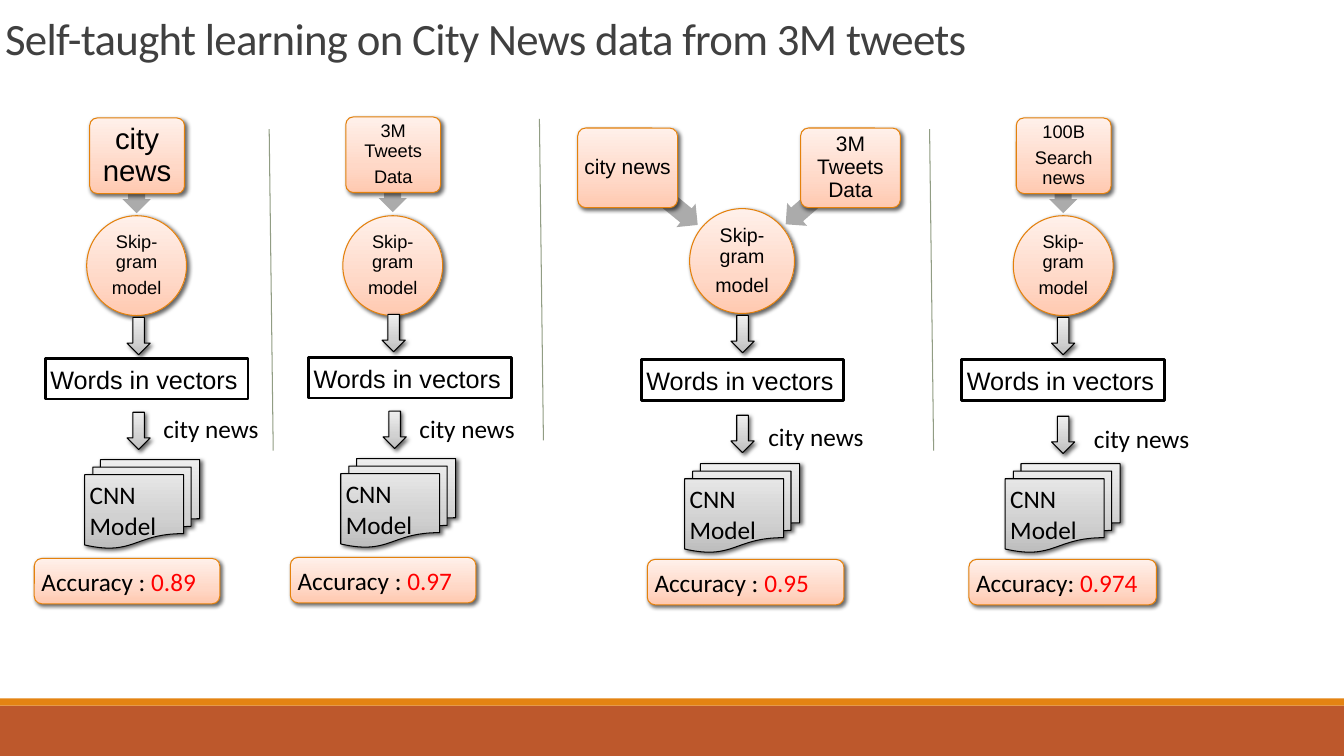
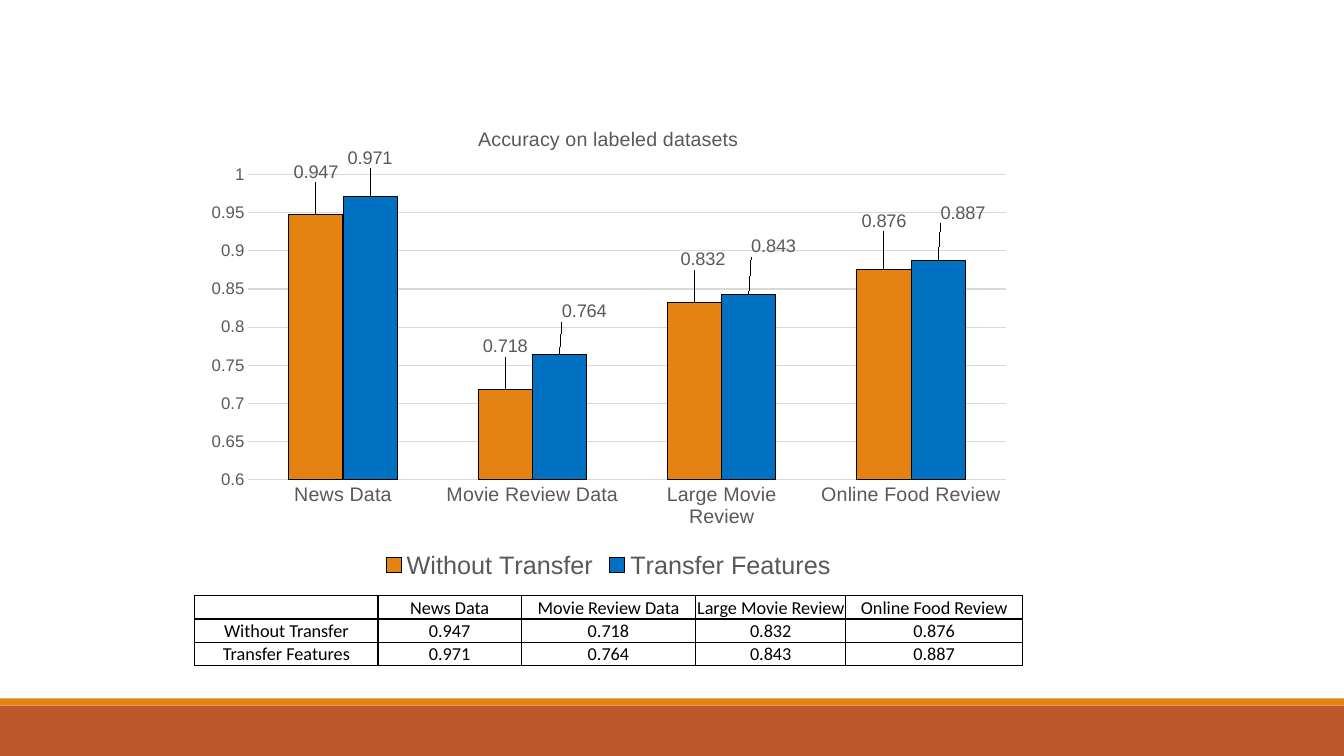
from copy import deepcopy

from lxml import etree
from pptx import Presentation
from pptx.chart.data import CategoryChartData
from pptx.dml.color import RGBColor
from pptx.enum.chart import XL_CHART_TYPE, XL_LABEL_POSITION, XL_LEGEND_POSITION, XL_TICK_MARK
from pptx.enum.shapes import MSO_CONNECTOR, MSO_SHAPE
from pptx.enum.text import MSO_ANCHOR, PP_ALIGN
from pptx.oxml.ns import qn
from pptx.util import Inches, Pt

RECTANGLE, ROUNDED = MSO_SHAPE.RECTANGLE, MSO_SHAPE.ROUNDED_RECTANGLE
ELLIPSE, LEFT_ARROW = MSO_SHAPE.OVAL, MSO_SHAPE.LEFT_ARROW
DOWN_ARROW, DOCUMENTS = MSO_SHAPE.DOWN_ARROW, MSO_SHAPE.FLOWCHART_MULTIDOCUMENT
STRAIGHT = MSO_CONNECTOR.STRAIGHT
LEFT, CENTER = PP_ALIGN.LEFT, PP_ALIGN.CENTER
MIDDLE, BOTTOM = MSO_ANCHOR.MIDDLE, MSO_ANCHOR.BOTTOM
COLUMNS, OUTSIDE = XL_CHART_TYPE.COLUMN_CLUSTERED, XL_LABEL_POSITION.OUTSIDE_END
LEGEND_BOTTOM, NO_TICK = XL_LEGEND_POSITION.BOTTOM, XL_TICK_MARK.NONE

# Shared style
WIDTH, HEIGHT = 13.33, 7.5
COLORS = {
    "black": "000000", "white": "FFFFFF", "title": "404040", "red": "FF0000",
    "band": "BD582C", "stripe": "E48312", "edge": "E4810C", "arrow": "ABABAB",
    "divider": "919D84", "label": "595959", "grid": "D9D9D9", "blue": "0070C0",
}
GRADIENTS = {
    "peach": ((0, "FFC9B0"), (0.35, "FFD8C7"), (1, "FFF0EA")),
    "gray": ((0, "BDBDBD"), (0.35, "D1D1D1"), (1, "EEEEEE")),
}
BANDS = [(7, 0.5, "band"), (6.93, 0.07, "stripe")]

# Slide 1: four pipelines, each with its sources, circle and lower stages
TITLE = "Self-taught learning on City News data from 3M tweets"
# Source: left, top, size, lines. Arrow: left, top, width, height, rotation.
PIPELINES = [
    {"circle": (0.86, 2.14, 0.99), "size": 13,
     "sources": [((0.89, 1.17, 0.94, 0.75), 21, ["city news"], (1.07, 1.69, 0.57, 0.28, 270))]},
    {"circle": (3.4, 2.14, 0.99), "size": 13,
     "sources": [((3.43, 1.16, 0.94, 0.75), 13, ["3M Tweets", "Data"], (3.61, 1.68, 0.57, 0.28, 270))]},
    {"circle": (6.84, 2.07, 1.04), "size": 14,
     "sources": [((5.73, 1.27, 0.99, 0.79), 15, ["city news"], (6.13, 1.8, 0.89, 0.3, 219.2)),
                 ((7.94, 1.27, 0.99, 0.79), 15, ["3M Tweets Data"], (7.69, 1.8, 0.84, 0.3, 319))]},
    {"circle": (10.05, 2.14, 0.99), "size": 13,
     "sources": [((10.08, 1.17, 0.94, 0.75), 13, ["100B", "Search news"], (10.26, 1.69, 0.57, 0.28, 270))]},
]
# Left and top of each stage, one pair per pipeline
STAGES = {
    "first arrow": [(1.26, 3.15), (3.79, 3.12), (7.25, 3.13), (10.43, 3.15)],
    "vectors": [(0.45, 3.56), (3.06, 3.55), (6.36, 3.57), (9.54, 3.57)],
    "second arrow": [(1.26, 4.09), (3.8, 4.08), (7.25, 4.12), (10.43, 4.13)],
    "label": [(1.57, 4.05), (4.11, 4.05), (7.57, 4.13), (10.8, 4.15)],
    "model": [(0.84, 4.56), (3.38, 4.55), (6.79, 4.6), (9.97, 4.6)],
    "accuracy": [(0.34, 5.54), (2.88, 5.53), (6.42, 5.55), (9.61, 5.55)],
}
ACCURACIES = [("Accuracy : ", "0.89", 1.84), ("Accuracy : ", "0.97", 1.84),
              ("Accuracy : ", "0.95", 1.95), ("Accuracy: ", "0.974", 1.86)]
DIVIDERS = [(2.67, 1.28), (5.35, 1.18), (9.22, 1.28)]

# Slide 2: chart and table share the same numbers
CHART_TITLE = "Accuracy on labeled datasets"
CATEGORIES = ["News Data", "Movie Review Data", "Large Movie Review", "Online Food Review"]
# Name, colour, values, label offsets as shares of the chart
SERIES = [
    ("Without Transfer", "stripe", (0.947, 0.718, 0.832, 0.876),
     ((0, -0.06), (0, -0.06), (0.01, -0.06), (0, -0.07))),
    ("Transfer Features", "blue", (0.971, 0.764, 0.843, 0.887),
     ((0, -0.05), (0.03, -0.06), (0.03, -0.07), (0.03, -0.07))),
]
PLOT_AREA = {"x": 0.065, "y": 0.14, "w": 0.915, "h": 0.64}
TABLE_LEFT, TABLE_TOP, ROW_HEIGHT = 1.93, 5.91, 0.23
TABLE_COLUMNS = [1.82, 1.42, 1.73, 1.49, 1.75]


def rgb(name):
    return RGBColor.from_string(COLORS[name])


def set_font(font, size, color="black", name="Arial"):
    for attribute, value in {"size": Pt(size), "name": name, "bold": False}.items():
        setattr(font, attribute, value)
    font.color.rgb = rgb(color)


def write(frame, lines, size, name="Arial", align=LEFT, anchor=MIDDLE,
          margin=0.05, spacing=None, after=0):
    """Each line is a list of (text, colour) runs."""
    settings = {"word_wrap": True, "vertical_anchor": anchor}
    settings.update({f"margin_{side}": Inches(margin)
                     for side in ("left", "top", "right", "bottom")})
    for attribute, value in settings.items():
        setattr(frame, attribute, value)
    for index, line in enumerate(lines):
        paragraph = frame.add_paragraph() if index else frame.paragraphs[0]
        paragraph.alignment = align
        paragraph.space_after = Pt(after)
        if spacing:
            paragraph.line_spacing = spacing
        for text, color in line:
            run = paragraph.add_run()
            run.text = text
            set_font(run.font, size, color, name)


def add_textbox(slide, box, lines, size, **options):
    shape = slide.shapes.add_textbox(*map(Inches, box))
    write(shape.text_frame, lines, size, **options)
    return shape


def add_shape(slide, kind, box, fill, line=None, line_width=0.75):
    shape = slide.shapes.add_shape(kind, *map(Inches, box))
    shape.shadow.inherit = False
    if line:
        shape.line.color.rgb = rgb(line)
        shape.line.width = Pt(line_width)
    else:
        shape.line.fill.background()
    if fill in GRADIENTS:
        shape.fill.gradient()
        shape.fill.gradient_angle = 90
        stop_list = shape._element.spPr.find(".//" + qn("a:gsLst"))
        stop_list.insert(1, deepcopy(stop_list[0]))
        for stop, (position, color) in zip(shape.fill.gradient_stops, GRADIENTS[fill]):
            stop.position = position
            stop.color.rgb = RGBColor.from_string(color)
        add_shadow(shape)
    else:
        shape.fill.solid()
        shape.fill.fore_color.rgb = rgb(fill)
    return shape


def add_shadow(shape):
    effects = shape._element.spPr.find(qn("a:effectLst"))
    shadow = etree.SubElement(effects, qn("a:outerShdw"), blurRad=str(Pt(3)),
                              dist=str(Pt(2)), dir="2700000", rotWithShape="0")
    color = etree.SubElement(shadow, qn("a:srgbClr"), val=COLORS["black"])
    etree.SubElement(color, qn("a:alpha"), val="60000")


def add_slide(presentation):
    slide = presentation.slides.add_slide(presentation.slide_layouts[6])
    for top, height, color in BANDS:
        add_shape(slide, RECTANGLE, (0, top, WIDTH, height), color)
    return slide


def add_title(slide, text):
    shape = add_textbox(slide, (0, 0.05, 11.12, 0.64), [[(text, "title")]], 32,
                        name="Calibri", anchor=BOTTOM, spacing=0.85)
    shape.text_frame.paragraphs[0].runs[0].font._element.set("spc", "-50")


def add_sources(slide, pipeline):
    left, top, diameter = pipeline["circle"]
    circle = add_shape(slide, ELLIPSE, (left, top, diameter, diameter), "peach", "edge")
    parts = [(circle, ["Skip-gram", "model"], pipeline["size"], 0.01)]
    for box, size, lines, (*arrow_box, rotation) in pipeline["sources"]:
        arrow = add_shape(slide, LEFT_ARROW, arrow_box, "arrow")
        arrow.adjustments[0] = 0.6
        arrow.rotation = rotation
        source = add_shape(slide, ROUNDED, box, "peach", "edge")
        source.adjustments[0] = 0.1
        parts.append((source, lines, size, 0.03))
    for shape, lines, size, margin in parts:
        write(shape.text_frame, [[(line, "black")] for line in lines], size, align=CENTER,
              margin=margin, spacing=0.9, after=round(0.35 * size, 1))


def add_stages(slide, index):
    place = {stage: spots[index] for stage, spots in STAGES.items()}
    for stage in ("first arrow", "second arrow"):
        add_shape(slide, DOWN_ARROW, (*place[stage], 0.23, 0.37), "gray", "black")
    vectors = add_shape(slide, RECTANGLE, (*place["vectors"], 2.01, 0.4), "white", "black", 2)
    write(vectors.text_frame, [[("Words in vectors", "black")]], 18)
    add_textbox(slide, (*place["label"], 1.17, 0.4), [[("city news", "black")]], 18, name="Calibri")
    model = add_shape(slide, DOCUMENTS, (*place["model"], 1.14, 0.88), "gray", "black")
    write(model.text_frame, [[("CNN Model", "black")]], 18, name="Calibri")
    caption, value, width = ACCURACIES[index]
    accuracy = add_shape(slide, ROUNDED, (*place["accuracy"], width, 0.45), "peach", "edge")
    write(accuracy.text_frame, [[(caption, "black"), (value, "red")]], 18, name="Calibri")


def add_divider(slide, left, top):
    ends = map(Inches, (left, top, left + 0.04, top + 3.19))
    line = slide.shapes.add_connector(STRAIGHT, *ends)
    line.line.color.rgb = rgb("divider")
    line.line.width = Pt(0.75)
    etree.SubElement(line._element.spPr, qn("a:effectLst"))


def manual_layout(**values):
    layout = etree.Element(qn("c:layout"))
    manual = etree.SubElement(layout, qn("c:manualLayout"))
    for tag, value in values.items():
        etree.SubElement(manual, qn("c:" + tag), val=str(value))
    return layout


def add_accuracy_chart(slide):
    data = CategoryChartData()
    data.categories = CATEGORIES
    for name, _, values, _ in SERIES:
        data.add_series(name, values)
    box = map(Inches, (TABLE_LEFT, 1.07, sum(TABLE_COLUMNS), 4.73))
    chart = slide.shapes.add_chart(COLUMNS, *box, data).chart
    set_font(chart.font, 10)

    # Title, legend and plot area
    chart.has_title = True
    chart.chart_title.include_in_layout = False
    run = chart.chart_title.text_frame.paragraphs[0].add_run()
    run.text = CHART_TITLE
    set_font(run.font, 14, "label")
    chart.has_legend = True
    chart.legend.position = LEGEND_BOTTOM
    chart.legend.include_in_layout = False
    set_font(chart.legend.font, 18, "label")
    plot_area = chart._chartSpace.find(".//" + qn("c:plotArea"))
    for old in plot_area.findall(qn("c:layout")):
        plot_area.remove(old)
    plot_area.insert(0, manual_layout(layoutTarget="inner", xMode="edge", yMode="edge", **PLOT_AREA))

    # Axes
    for axis, size in ((chart.category_axis, 14), (chart.value_axis, 12)):
        axis.major_tick_mark = axis.minor_tick_mark = NO_TICK
        axis.format.line.fill.background()
        set_font(axis.tick_labels.font, size, "label")
    for attribute, value in {"minimum_scale": 0.6, "maximum_scale": 1, "major_unit": 0.05}.items():
        setattr(chart.value_axis, attribute, value)
    grid_line = chart.value_axis.major_gridlines.format.line
    grid_line.color.rgb = rgb("grid")
    grid_line.width = Pt(0.75)

    # Bars and their shifted labels
    plot = chart.plots[0]
    plot.gap_width, plot.overlap, plot.vary_by_categories = 150, 0, False
    for series, (_, color, _, offsets) in zip(plot.series, SERIES):
        series.format.fill.solid()
        series.format.fill.fore_color.rgb = rgb(color)
        series.format.line.color.rgb = rgb("black")
        series.format.line.width = Pt(0.75)
        series.data_labels.show_value = True
        set_font(series.data_labels.font, 13, "label")
        for index in range(len(offsets)):
            label = series.points[index].data_label
            set_font(label.font, 13, "label")
            label.position = OUTSIDE
        for element, (x, y) in zip(series._element.iter(qn("c:dLbl")), offsets):
            element.insert(1, manual_layout(x=x, y=y))


def add_borders(cell):
    properties = cell._tc.get_or_add_tcPr()
    for index, side in enumerate("LRTB"):
        line = etree.Element(qn("a:ln" + side), w=str(Pt(1)))
        fill = etree.SubElement(line, qn("a:solidFill"))
        etree.SubElement(fill, qn("a:srgbClr"), val=COLORS["black"])
        properties.insert(index, line)


def add_accuracy_table(slide):
    rows = [["", *CATEGORIES]] + [[name, *map(str, values)] for name, _, values, _ in SERIES]
    box = (TABLE_LEFT, TABLE_TOP, sum(TABLE_COLUMNS), ROW_HEIGHT * len(rows))
    table = slide.shapes.add_table(len(rows), len(TABLE_COLUMNS), *map(Inches, box)).table
    table.first_row = table.horz_banding = False
    for column, width in zip(table.columns, TABLE_COLUMNS):
        column.width = Inches(width)
    for row, texts in zip(table.rows, rows):
        row.height = Inches(ROW_HEIGHT)
        for cell, text in zip(row.cells, texts):
            cell.fill.background()
            add_borders(cell)
            cell.vertical_anchor = MIDDLE
            cell.margin_left = cell.margin_right = cell.margin_top = Inches(0.01)
            cell.margin_bottom = 0
            paragraph = cell.text_frame.paragraphs[0]
            paragraph.alignment = CENTER
            if text:
                run = paragraph.add_run()
                run.text = text
                set_font(run.font, 13, name="Calibri")
            else:
                etree.SubElement(paragraph._p, qn("a:endParaRPr"), sz="1300")


def main():
    presentation = Presentation()
    presentation.slide_width, presentation.slide_height = Inches(WIDTH), Inches(HEIGHT)

    pipelines_slide = add_slide(presentation)
    add_title(pipelines_slide, TITLE)
    for index, pipeline in enumerate(PIPELINES):
        add_sources(pipelines_slide, pipeline)
        add_stages(pipelines_slide, index)
    for left, top in DIVIDERS:
        add_divider(pipelines_slide, left, top)

    results_slide = add_slide(presentation)
    add_accuracy_chart(results_slide)
    add_accuracy_table(results_slide)
    presentation.save("out.pptx")


if __name__ == "__main__":
    main()
